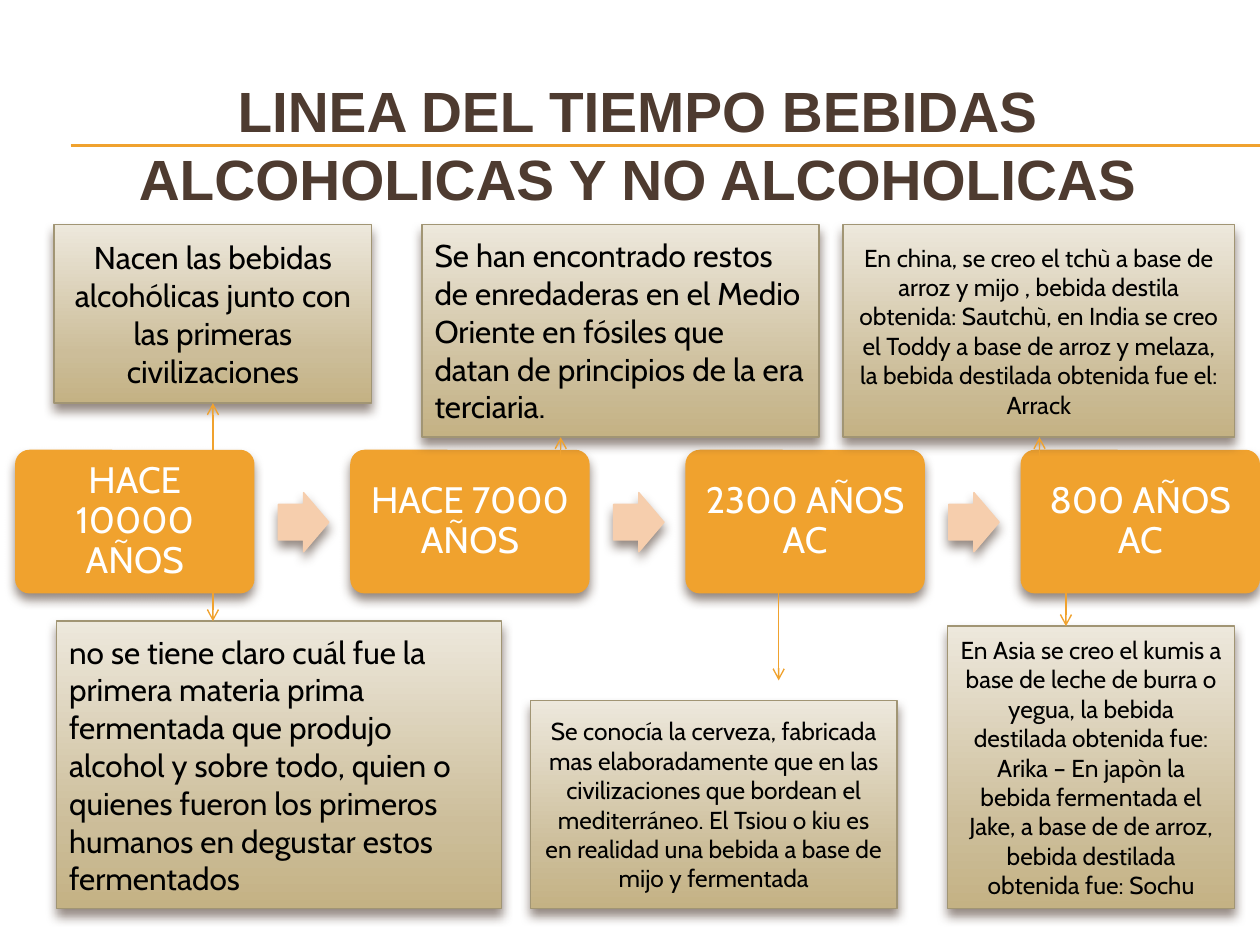
from copy import deepcopy

from lxml import etree
from pptx import Presentation
from pptx.dml.color import RGBColor
from pptx.enum import shapes, text
from pptx.oxml import ns
from pptx.util import Inches, Pt

ORANGE = RGBColor(0xF0, 0xA2, 0x2E)
PEACH = RGBColor(0xF6, 0xCE, 0xAD)
BROWN = RGBColor(0x4E, 0x3B, 0x30)
TAN = RGBColor(0xA1, 0x95, 0x74)
WHITE = RGBColor(0xFF, 0xFF, 0xFF)
BLACK = RGBColor(0, 0, 0)
NOTE_STOPS = [
    (0, RGBColor(0xED, 0xE8, 0xDC)),
    (0.72, RGBColor(0xCC, 0xBD, 0x99)),
    (1, RGBColor(0xC4, 0xB2, 0x84)),
]
CENTER = text.PP_ALIGN.CENTER
LEFT = text.PP_ALIGN.LEFT

MILESTONES = ["HACE 10000 AÑOS", "HACE 7000 AÑOS", "2300 AÑOS AC", "800 AÑOS AC"]
MILESTONE_LEFT = 0.12
MILESTONE_PITCH = 2.66

NOTES = [
    ("Nacen las bebidas alcohólicas junto con las primeras civilizaciones",
     (0.43, 1.78, 2.52, 1.42), 18, CENTER),
    ("no se tiene claro cuál fue la primera materia prima fermentada que produjo "
     "alcohol y sobre todo, quien o quienes fueron los primeros humanos en degustar "
     "estos fermentados",
     (0.45, 4.93, 3.53, 2.28), 18, LEFT),
    ("Se han encontrado restos de enredaderas en el Medio Oriente en fósiles que "
     "datan de principios de la era terciaria.",
     (3.35, 1.78, 3.15, 1.69), 18, LEFT),
    ("Se conocía la cerveza, fabricada mas elaboradamente que en las civilizaciones "
     "que bordean el mediterráneo. El Tsiou o kiu es en realidad una bebida a base "
     "de mijo y fermentada",
     (4.21, 5.56, 2.91, 1.65), 14, CENTER),
    ("En china, se creo el tchù a base de arroz y mijo , bebida destila obtenida: "
     "Sautchù, en India se creo el Toddy a base de arroz y melaza, la bebida "
     "destilada obtenida fue el: Arrack",
     (6.69, 1.78, 3.11, 1.69), 14, CENTER),
    ("En Asia se creo el kumis a base de leche de burra o yegua, la bebida destilada "
     "obtenida fue: Arika – En japòn la bebida fermentada el Jake, a base de de "
     "arroz, bebida destilada obtenida fue: Sochu",
     (7.52, 4.97, 2.28, 2.24), 14, CENTER),
]

POINTERS = [
    (1.69, 3.75, 3.2),
    (1.69, 4.69, 4.93),
    (4.45, 3.75, 3.47),
    (6.18, 4.54, 5.4),
    (8.25, 3.75, 3.47),
    (8.46, 4.54, 4.97),
]


def write(shape, content, size=18, font="Cabin", color=BLACK, bold=False,
          align=CENTER, spacing=1.0, insets=(0.1, 0.05, 0.1, 0.05)):
    frame = shape.text_frame
    frame.word_wrap = True
    frame.vertical_anchor = text.MSO_ANCHOR.MIDDLE
    (frame.margin_left, frame.margin_top,
     frame.margin_right, frame.margin_bottom) = map(Inches, insets)
    para = frame.paragraphs[0]
    para.alignment = align
    para.line_spacing = spacing
    span = para.add_run()
    span.text = content
    span.font.size = Pt(size)
    span.font.name = font
    span.font.bold = bold
    span.font.color.rgb = color


def add_shadow(shape):
    shape.shadow.inherit = False
    effects = shape._element.spPr.find(ns.qn("a:effectLst"))
    shadow = etree.SubElement(effects, ns.qn("a:outerShdw"), blurRad=str(Pt(6)),
                              dist=str(Pt(4)), dir="5400000", rotWithShape="0")
    color = etree.SubElement(shadow, ns.qn("a:srgbClr"), val=str(BROWN))
    etree.SubElement(color, ns.qn("a:alpha"), val="60000")


def add_block(page, kind, bounds, fill=None, line=None):
    shape = page.shapes.add_shape(kind, *map(Inches, bounds))
    if fill is not None:
        shape.fill.solid()
        shape.fill.fore_color.rgb = fill
    if line is None:
        shape.line.fill.background()
    else:
        shape.line.color.rgb = line
        shape.line.width = Pt(0.79)
    add_shadow(shape)
    return shape


def fill_gradient(shape, stops):
    shape.fill.gradient()
    shape.fill.gradient_angle = 270
    stop_list = shape._element.spPr.find(".//" + ns.qn("a:gsLst"))
    stop_list.append(deepcopy(stop_list[-1]))
    for stop, (position, color) in zip(shape.fill.gradient_stops, stops):
        stop.position = position
        stop.color.rgb = color


def add_line(page, start, end, width, arrow=False):
    line = page.shapes.add_connector(shapes.MSO_CONNECTOR.STRAIGHT,
                                     *map(Inches, start + end))
    line.line.color.rgb = ORANGE
    line.line.width = Pt(width)
    if arrow:
        etree.SubElement(line.line._get_or_add_ln(), ns.qn("a:tailEnd"), type="arrow")
    etree.SubElement(line._element.spPr, ns.qn("a:effectLst"))


def add_title(page):
    for top in (1.15, 1.16):
        add_line(page, (0.56, top), (10, top), 0.75)
    box = page.shapes.add_textbox(*map(Inches, (0.12, 0.68, 9.88, 1.42)))
    write(box, "LINEA DEL TIEMPO BEBIDAS ALCOHOLICAS Y NO ALCOHOLICAS", size=32.4,
          font="Arial", color=BROWN, bold=True, insets=(0.1, 0.05, 0.1, 0.54))


def add_milestones(page):
    for index, label in enumerate(MILESTONES):
        left = MILESTONE_LEFT + index * MILESTONE_PITCH
        if index:
            add_block(page, shapes.MSO_SHAPE.RIGHT_ARROW, (left - 0.57, 3.91, 0.4, 0.47),
                      fill=PEACH, line=PEACH).adjustments[0] = 0.6
        card = add_block(page, shapes.MSO_SHAPE.ROUNDED_RECTANGLE,
                         (left, 3.57, 1.9, 1.14), fill=ORANGE)
        card.adjustments[0] = 0.1
        write(card, label, size=21, color=WHITE, spacing=0.9, insets=(0.12,) * 4)


def add_note(page, content, bounds, size, align):
    note = add_block(page, shapes.MSO_SHAPE.RECTANGLE, bounds, line=TAN)
    fill_gradient(note, NOTE_STOPS)
    write(note, content, size=size, align=align)


def main():
    deck = Presentation()
    deck.slide_width, deck.slide_height = Inches(10), Inches(7.5)
    page = deck.slides.add_slide(deck.slide_layouts[6])
    add_title(page)
    add_milestones(page)
    for note in NOTES:
        add_note(page, *note)
    for left, start, end in POINTERS:
        add_line(page, (left, start), (left, end), 0.79, arrow=True)
    deck.save("out.pptx")


if __name__ == "__main__":
    main()
